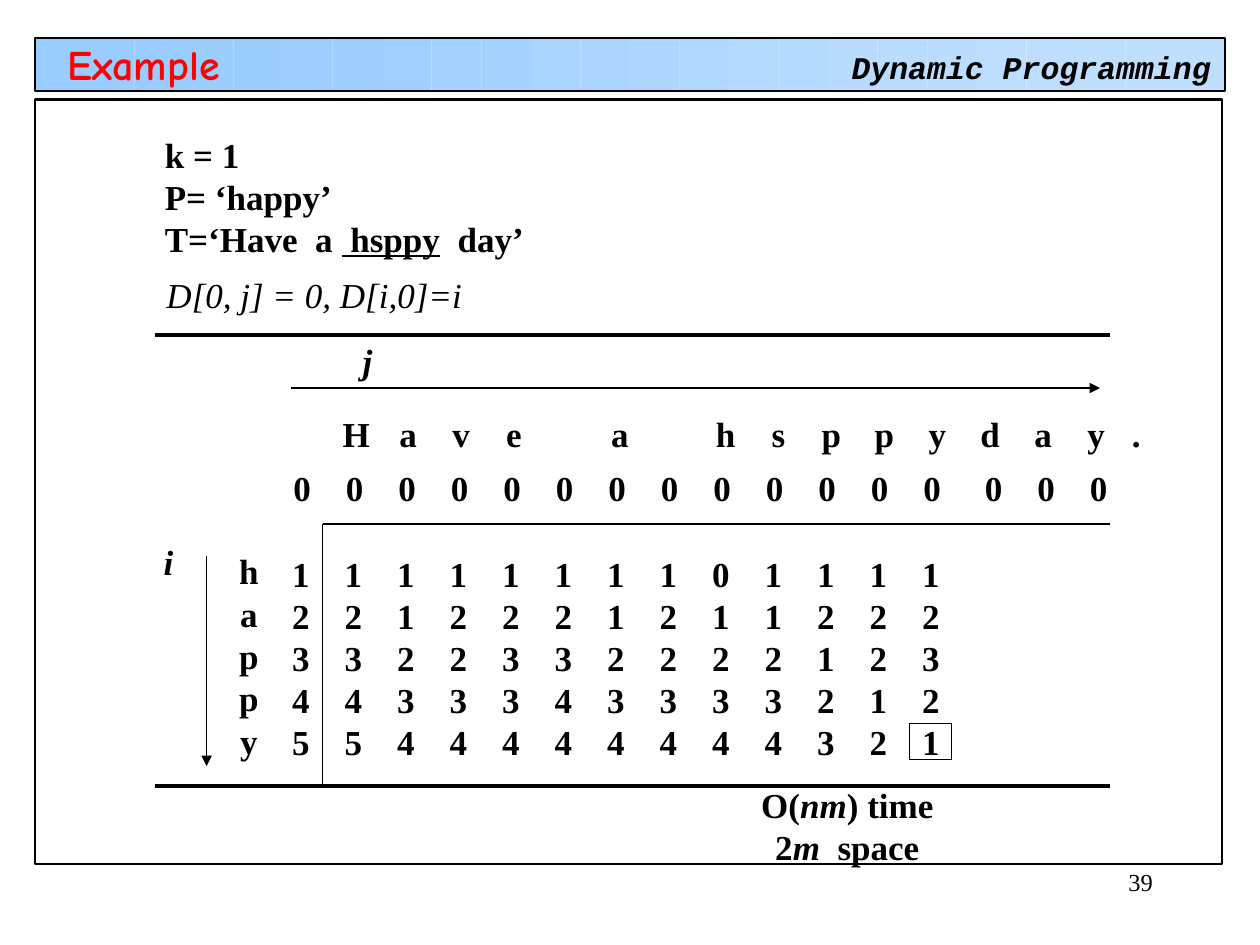
from math import cos, pi

from lxml.etree import SubElement
from pptx import Presentation
from pptx.dml.color import RGBColor
from pptx.enum.shapes import MSO_CONNECTOR, MSO_SHAPE
from pptx.enum.text import MSO_ANCHOR, MSO_AUTO_SIZE, PP_ALIGN
from pptx.oxml.ns import qn
from pptx.util import Inches, Pt

COLUMNS, ROWS = 100, 75
SERIF = "Times New Roman"
BLACK = "000000"
STRIPS = 24
BAR_LEFT, BAR_TOP, BAR_WIDTH, BAR_HEIGHT = 2.8, 3, 94.4, 4.2
RULE_LEFT, RULE_RIGHT = 12.3, 88.1
MATRIX_TOP, MATRIX_BOTTOM = 41.6, 62.4
PATTERN = "happy"
DISTANCES = ["1111111101111", "2212221211222", "3322332222123",
             "4433343333212", "5544444444321"]
TEXT_LETTERS = "Have a hsppyday."


def color(hex_string):
    return RGBColor.from_string(hex_string)


def blend(start, end, share):
    """Mix two hex colours, easing in and out along a cosine."""
    weight = (1 - cos(pi * share)) / 2
    pairs = zip(bytes.fromhex(start), bytes.fromhex(end))
    return "".join(f"{round(a + (b - a) * weight):02X}" for a, b in pairs)


class SlideBuilder:
    """Draws on one slide; lengths are grid columns and rows."""

    def __init__(self, presentation):
        self.presentation = presentation
        self.slide = presentation.slides.add_slide(presentation.slide_layouts[6])

    def x(self, columns):
        return round(self.presentation.slide_width * columns / COLUMNS)

    def y(self, rows):
        return round(self.presentation.slide_height * rows / ROWS)

    def box(self, left, top, width, height):
        return self.x(left), self.y(top), self.x(width), self.y(height)

    def rectangle(self, *place, fill=None, line=None, group=None):
        shapes = (group or self.slide).shapes
        shape = shapes.add_shape(MSO_SHAPE.RECTANGLE, *self.box(*place))
        shape.shadow.inherit = False
        if fill:
            shape.fill.solid()
            shape.fill.fore_color.rgb = color(fill)
        else:
            shape.fill.background()
        if line:
            shape.line.color.rgb = color(BLACK)
            shape.line.width = Pt(line)
        else:
            shape.line.fill.background()

    def line(self, left, top, right, bottom, width=0.75, arrow=False):
        connector = self.slide.shapes.add_connector(
            MSO_CONNECTOR.STRAIGHT, self.x(left), self.y(top),
            self.x(right), self.y(bottom))
        connector.line.color.rgb = color(BLACK)
        connector.line.width = Pt(width)
        if arrow:
            SubElement(connector.line._get_or_add_ln(), qn("a:tailEnd"), type="triangle")
        SubElement(connector._element.spPr, qn("a:effectLst"))

    def text(self, place, lines, size=20, font=SERIF, fill=BLACK, bold=True,
             italic=False, accent="italic", align=PP_ALIGN.LEFT,
             anchor=MSO_ANCHOR.MIDDLE, wrap=False, grow=True, stops=()):
        """Each line is a string or a list whose every second piece is accented."""
        frame = self.slide.shapes.add_textbox(*self.box(*place)).text_frame
        frame.word_wrap = wrap
        frame.vertical_anchor = anchor
        frame.auto_size = MSO_AUTO_SIZE.SHAPE_TO_FIT_TEXT if grow else MSO_AUTO_SIZE.NONE
        for number, pieces in enumerate(lines):
            paragraph = frame.add_paragraph() if number else frame.paragraphs[0]
            paragraph.alignment = align
            if stops:
                self.tab_stops(paragraph, stops)
            for index, piece in enumerate([pieces] if isinstance(pieces, str) else pieces):
                run = paragraph.add_run()
                run.text = piece
                run.font.name = font
                run.font.size = Pt(size)
                run.font.color.rgb = color(fill)
                run.font.bold = bold
                run.font.italic = italic
                if index % 2:
                    setattr(run.font, accent, True)

    def tab_stops(self, paragraph, stops):
        tab_list = SubElement(paragraph._p.get_or_add_pPr(), qn("a:tabLst"))
        for stop in stops:
            SubElement(tab_list, qn("a:tab"), pos=str(self.x(stop)), algn="ctr")


def draw_frame(builder):
    bar = builder.slide.shapes.add_group_shape()
    pitch = BAR_WIDTH / STRIPS
    for index in range(STRIPS):
        builder.rectangle(BAR_LEFT + index * pitch, BAR_TOP, pitch, BAR_HEIGHT, group=bar,
                          fill=blend("99CCFF", "C0DFFF", index / (STRIPS - 1)))
    builder.rectangle(BAR_LEFT, BAR_TOP, BAR_WIDTH, BAR_HEIGHT, line=1.25, group=bar)
    builder.rectangle(BAR_LEFT, 7.9, 94.2, 60.7, line=1.25)
    builder.text((66.6, 3.3, 30.5, 4), ["Dynamic Programming"], size=18,
                 font="Courier New", italic=True, anchor=MSO_ANCHOR.TOP)
    builder.text((79.2, 68.3, 13.3, 5), ["39"], size=14, bold=False, wrap=True,
                 align=PP_ALIGN.RIGHT, anchor=MSO_ANCHOR.TOP, grow=False)
    builder.text((4.4, 3.8, 51.7, 2.5), ["Example"], size=24, font="Comic Neue",
                 fill="FF0000", wrap=True, grow=False)


def draw_problem(builder):
    builder.text((12.2, 21.2, 25.5, 4.4), ["D[0, j] = 0, D[i,0]=i"],
                 bold=False, italic=True, align=PP_ALIGN.CENTER)
    builder.text((12.1, 10.1, 30.5, 11),
                 ["k = 1", "P= ‘happy’", ["T=‘Have  a ", " hsppy", "  day’"]],
                 accent="underline")
    builder.text((59.4, 61.7, 15.7, 7.7),
                 [["O(", "nm", ") time"], ["2", "m", "  space"]], align=PP_ALIGN.CENTER)


def draw_matrix(builder):
    for row in (26.6, MATRIX_BOTTOM):
        builder.line(RULE_LEFT, row, RULE_RIGHT, row, width=2)
    builder.line(25.6, MATRIX_TOP, 25.6, MATRIX_BOTTOM)
    builder.line(25.6, MATRIX_TOP, RULE_RIGHT, MATRIX_TOP)

    # Tab stops sit at digit centres; the last three zeros stand a little apart.
    pitch = 25 / 6
    stops = [0.7 + pitch * k + (0.7 if k > 12 else 0) for k in range(1, 16)]
    builder.text((22.2, 43.3, 54.9, 17.7), ["\t".join(row) for row in DISTANCES],
                 wrap=True, stops=stops[:12])
    builder.text((22.3, 36.5, 70.1, 4.4), ["\t".join("0" * 16)], wrap=True, stops=stops)
    letters = "\t".join(TEXT_LETTERS).replace(" ", "")
    builder.text((26.2, 32.2, 65.5, 4.4), [letters], wrap=True,
                 stops=[1 + 4.2 * k for k in range(1, 15)] + [63])
    for index, letter in enumerate(PATTERN):
        builder.text((18, 43.1 + 3.36 * index, 3.5, 4.4), [letter], align=PP_ALIGN.CENTER)

    builder.line(16.4, 44.1, 16.4, 60.8, arrow=True)
    builder.line(23.1, 30.8, 87.3, 30.8, arrow=True)
    for name, left, top in (("i", 12, 42.4), ("j", 27.8, 26.4)):
        builder.text((left, top, 2.7, 4.4), [name], italic=True, align=PP_ALIGN.CENTER)
    builder.rectangle(72.2, 57.4, 3.3, 2.9, line=0.75)


def main():
    presentation = Presentation()
    presentation.slide_width, presentation.slide_height = Inches(10), Inches(7.5)
    builder = SlideBuilder(presentation)
    draw_frame(builder)
    draw_problem(builder)
    draw_matrix(builder)
    presentation.save("out.pptx")


if __name__ == "__main__":
    main()
